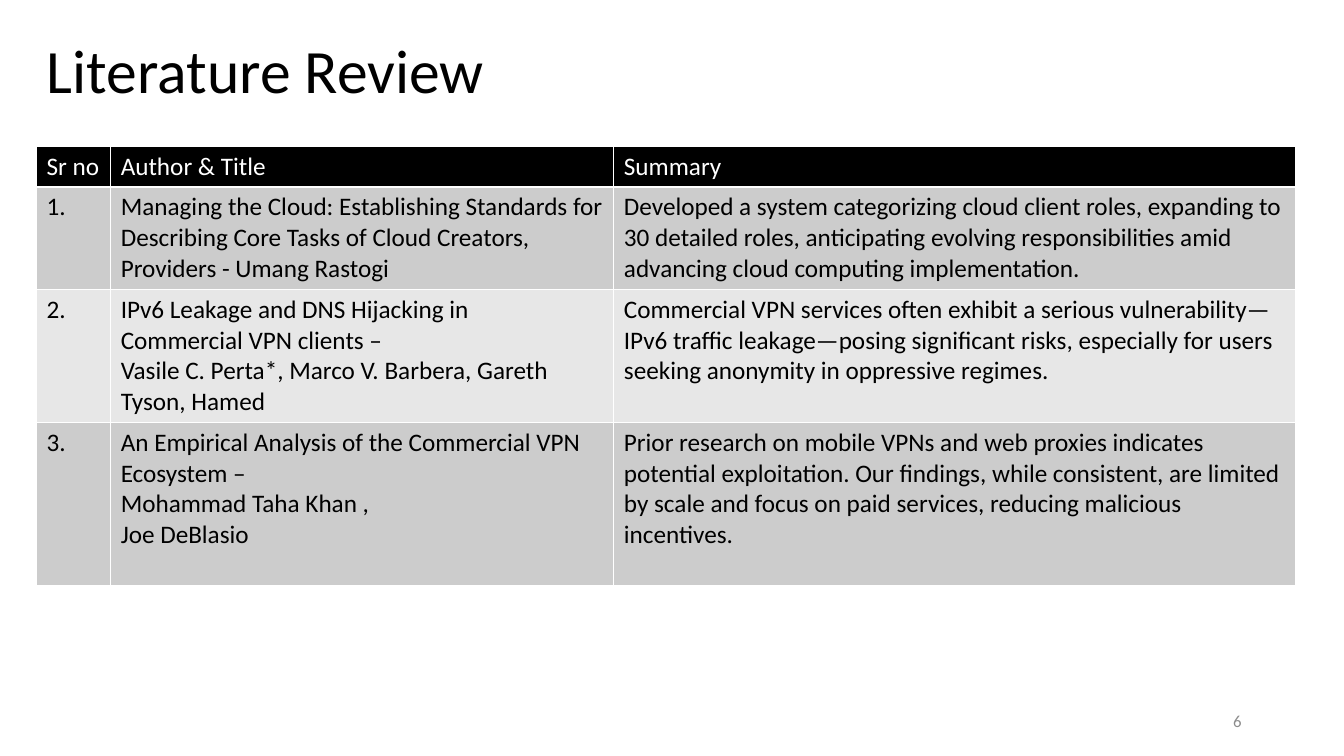
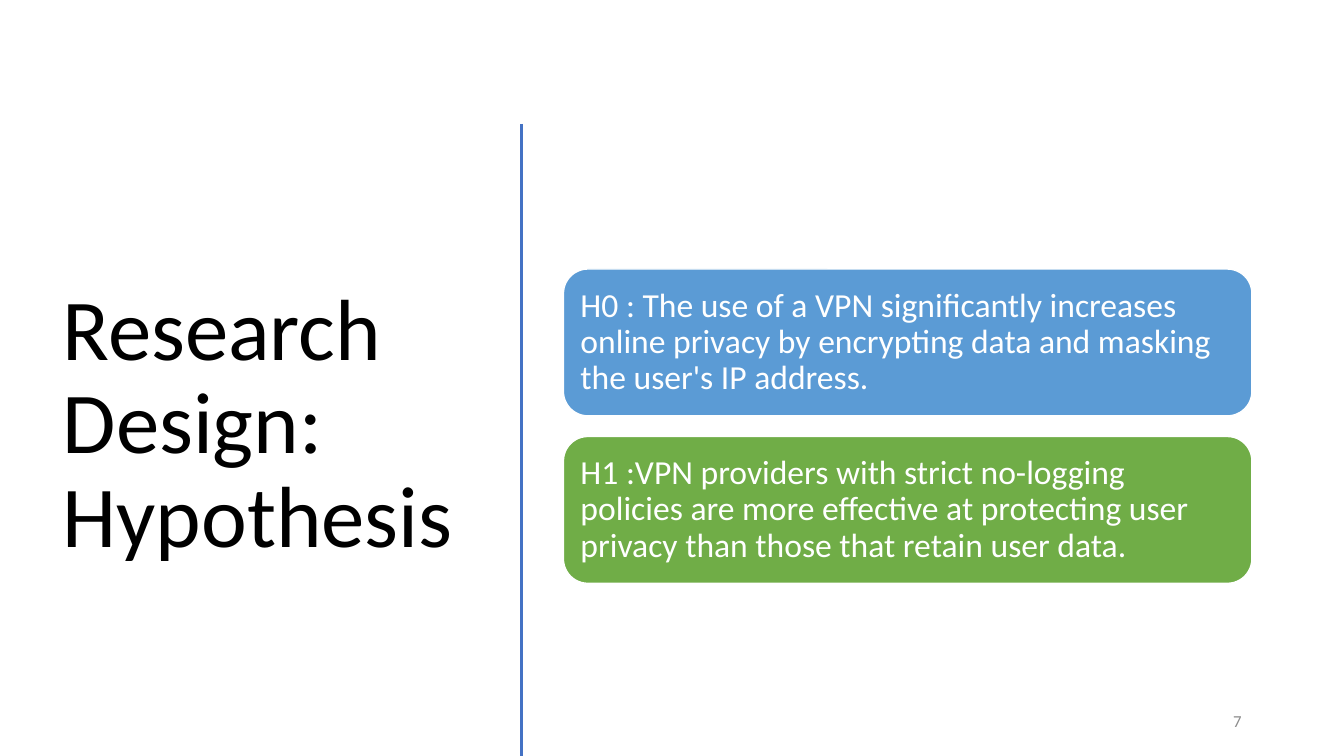
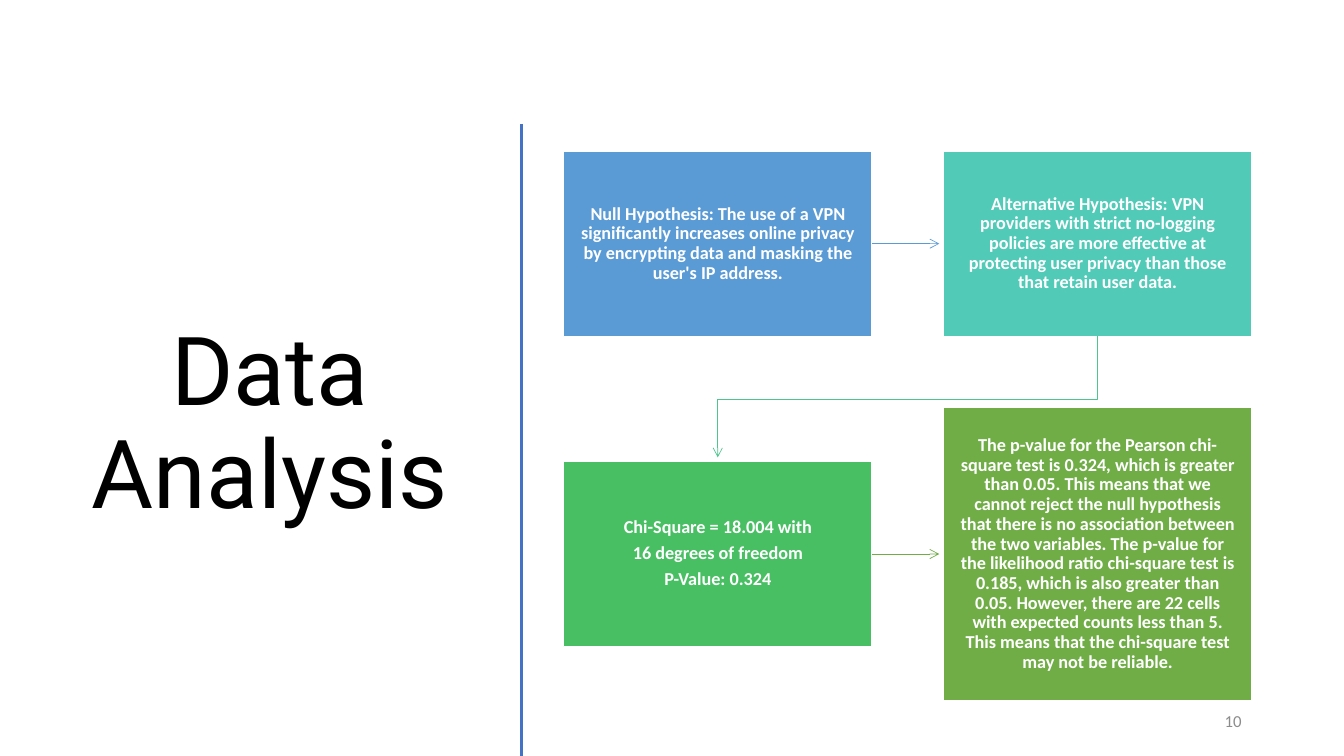
"""Build three slides on VPN research: literature, hypotheses and data analysis."""
from dataclasses import dataclass

from lxml.etree import SubElement
from pptx import Presentation
from pptx.dml.color import RGBColor
from pptx.enum.shapes import MSO_CONNECTOR, MSO_SHAPE
from pptx.enum.text import MSO_ANCHOR, PP_ALIGN
from pptx.oxml.ns import qn
from pptx.util import Cm, Pt

BLACK, WHITE, GREY = "000000", "FFFFFF", "8C8C8C"
BLUE, TEAL, MINT, EMERALD, GREEN = "5B9BD5", "52CAB8", "4DC58D", "49BF64", "70AD47"
DIVIDER = "4472C4"
BANDS = ("CCCCCC", "E7E7E7")
FONT = "Calibri"

LEFT = 14.2
BOX_W, BOX_H, TALL_H = 7.78, 4.67, 7.39
COL_PITCH = 9.57
ROW_MIDDLES = (6.14, 13.96)
CARD_W, CARD_H, CARD_TOP, CARD_PITCH = 17.35, 3.7, 6.78, 4.22


@dataclass(frozen=True)
class Style:
    """Look of a block of text."""

    size: float
    color: str = WHITE
    font: str = FONT
    bold: bool = False
    align: PP_ALIGN = PP_ALIGN.LEFT
    spacing: float = 0.9
    after: float = 0


@dataclass(frozen=True)
class Box:
    """A filled box with text; lengths in centimetres."""

    text: str
    fill: str
    left: float
    top: float
    width: float
    height: float
    shape: MSO_SHAPE
    inset: float
    style: Style


@dataclass(frozen=True)
class Arrow:
    """An arrow along points given in centimetres."""

    points: tuple[tuple[float, float], ...]
    color: str


CELL = Style(18, BLACK, spacing=1)
HEADER = Style(18, spacing=1)
NUMBER = Style(12, GREY, align=PP_ALIGN.RIGHT, spacing=1)
CARD = Style(24)
STEP = Style(13, bold=True, align=PP_ALIGN.CENTER, after=4.5)

REVIEW = (
    ("Sr no", "Author & Title", "Summary"),
    ("1.",
     "Managing the Cloud: Establishing Standards for Describing Core Tasks of "
     "Cloud Creators, Providers - Umang Rastogi",
     "Developed a system categorizing cloud client roles, expanding to 30 detailed "
     "roles, anticipating evolving responsibilities amid advancing cloud computing "
     "implementation."),
    ("2.",
     "IPv6 Leakage and DNS Hijacking in\nCommercial VPN clients –\n"
     "Vasile C. Perta*, Marco V. Barbera, Gareth Tyson, Hamed",
     "Commercial VPN services often exhibit a serious vulnerability—IPv6 traffic "
     "leakage—posing significant risks, especially for users seeking anonymity in "
     "oppressive regimes."),
    ("3.",
     "An Empirical Analysis of the Commercial VPN Ecosystem –\n"
     "Mohammad Taha Khan ,\nJoe DeBlasio",
     "Prior research on mobile VPNs and web proxies indicates potential "
     "exploitation. Our findings, while consistent, are limited by scale and focus "
     "on paid services, reducing malicious incentives."),
)
COL_WIDTHS = (1.87, 12.68, 17.18)
ROW_HEIGHTS = (1.02, 2.58, 3.35, 4.12)

HYPOTHESES = (
    ("H0 : The use of a VPN significantly increases online privacy by encrypting "
     "data and masking the user's IP address.", BLUE),
    ("H1 :VPN providers with strict no-logging policies are more effective at "
     "protecting user privacy than those that retain user data.", GREEN),
)
STEPS = (
    ("Null Hypothesis: The use of a VPN significantly increases online privacy by "
     "encrypting data and masking the user's IP address.", BLUE, BOX_H),
    ("Alternative Hypothesis: VPN providers with strict no-logging policies are more "
     "effective at protecting user privacy than those that retain user data.",
     TEAL, BOX_H),
    ("Chi-Square = 18.004 with\n16 degrees of freedom\nP-Value: 0.324",
     EMERALD, BOX_H),
    ("The p-value for the Pearson chi-square test is 0.324, which is greater than "
     "0.05. This means that we cannot reject the null hypothesis that there is no "
     "association between the two variables. The p-value for the likelihood ratio "
     "chi-square test is 0.185, which is also greater than 0.05. However, there are "
     "22 cells with expected counts less than 5. This means that the chi-square test "
     "may not be reliable.", GREEN, TALL_H),
)


def rgb(value: str) -> RGBColor:
    """Return the colour for a hex string."""
    return RGBColor.from_string(value)


def write(tf, text: str, style: Style) -> None:
    """Fill a text frame and format its runs."""
    tf.text = text
    tf.word_wrap = True
    for p in tf.paragraphs:
        p.alignment = style.align
        p.line_spacing = style.spacing
        p.space_after = Pt(style.after)
        for r in p.runs:
            r.font.name = style.font
            r.font.size = Pt(style.size)
            r.font.bold = style.bold
            r.font.color.rgb = rgb(style.color)


def add_text(s, text: str, style: Style, left: float, top: float,
             width: float, height: float) -> None:
    """Add a vertically centred text box."""
    sp = s.shapes.add_textbox(Cm(left), Cm(top), Cm(width), Cm(height))
    write(sp.text_frame, text, style)
    sp.text_frame.vertical_anchor = MSO_ANCHOR.MIDDLE


def add_box(s, box: Box) -> None:
    """Add a filled box with a thin white outline."""
    sp = s.shapes.add_shape(box.shape, Cm(box.left), Cm(box.top),
                            Cm(box.width), Cm(box.height))
    sp.shadow.inherit = False
    sp.fill.solid()
    sp.fill.fore_color.rgb = rgb(box.fill)
    sp.line.color.rgb = rgb(WHITE)
    sp.line.width = Pt(1)
    tf = sp.text_frame
    write(tf, box.text, box.style)
    tf.vertical_anchor = MSO_ANCHOR.MIDDLE
    tf.margin_left = tf.margin_right = tf.margin_top = tf.margin_bottom = Cm(box.inset)


def add_line(s, start: tuple[float, float], end: tuple[float, float],
             color: str, width: float):
    """Add a straight line without a shadow."""
    sp = s.shapes.add_connector(MSO_CONNECTOR.STRAIGHT,
                                *(Cm(v) for v in (*start, *end)))
    sp.line.color.rgb = rgb(color)
    sp.line.width = Pt(width)
    SubElement(sp._element.spPr, qn("a:effectLst"))
    return sp


def add_bent_line(s, points: tuple[tuple[float, float], ...],
                  color: str, width: float):
    """Add an open line with corners."""
    start, *rest = [(Cm(x), Cm(y)) for x, y in points]
    builder = s.shapes.build_freeform(*start)
    builder.add_line_segments(rest, close=False)
    sp = builder.convert_to_shape()
    sp.shadow.inherit = False
    sp.fill.background()
    sp.line.color.rgb = rgb(color)
    sp.line.width = Pt(width)
    return sp


def add_arrow(s, arrow: Arrow) -> None:
    """Add a thin arrow, straight or bent."""
    if len(arrow.points) == 2:
        sp = add_line(s, *arrow.points, arrow.color, 0.5)
    else:
        sp = add_bent_line(s, arrow.points, arrow.color, 0.5)
    SubElement(sp.line._get_or_add_ln(), qn("a:tailEnd"), type="arrow")


def add_slide(prs, number: int):
    """Add a blank slide with its number."""
    s = prs.slides.add_slide(prs.slide_layouts[6])
    add_text(s, str(number), NUMBER, 23.92, 17.65, 7.62, 1.02)
    return s


def add_split_slide(prs, number: int, title: str, style: Style):
    """Add a slide with a title panel left of a divider."""
    s = add_slide(prs, number)
    add_text(s, title, style, 1.33, 2.97, 10.95, 15.52)
    add_line(s, (13.14, 3.12), (13.14, 19.05), DIVIDER, 2.25)
    return s


def literature_slide(prs) -> None:
    """Build the literature table."""
    s = add_slide(prs, 6)
    add_text(s, "Literature Review", Style(44, BLACK), 0.93, 0, 29.21, 3.7)
    table = s.shapes.add_table(len(REVIEW), len(COL_WIDTHS), Cm(0.92), Cm(3.69),
                               Cm(sum(COL_WIDTHS)), Cm(sum(ROW_HEIGHTS))).table
    for column, width in zip(table.columns, COL_WIDTHS):
        column.width = Cm(width)
    for i, (row, height, texts) in enumerate(zip(table.rows, ROW_HEIGHTS, REVIEW)):
        row.height = Cm(height)
        for cell, text in zip(row.cells, texts):
            write(cell.text_frame, text, CELL if i else HEADER)
            cell.fill.solid()
            cell.fill.fore_color.rgb = rgb(BANDS[(i - 1) % 2] if i else BLACK)


def hypothesis_slide(prs) -> None:
    """Build the two hypothesis cards."""
    s = add_split_slide(prs, 7, "Research Design: Hypothesis", Style(62, BLACK))
    for i, (text, fill) in enumerate(HYPOTHESES):
        add_box(s, Box(text, fill, LEFT, CARD_TOP + i * CARD_PITCH, CARD_W, CARD_H,
                       MSO_SHAPE.ROUNDED_RECTANGLE, 0.25, CARD))


def analysis_slide(prs) -> None:
    """Build the flow from hypotheses to test results."""
    s = add_split_slide(prs, 10, "Data Analysis",
                        Style(68, BLACK, "Roboto", align=PP_ALIGN.CENTER))
    for i, (text, fill, height) in enumerate(STEPS):
        row, col = divmod(i, 2)
        add_box(s, Box(text, fill, LEFT + col * COL_PITCH,
                       ROW_MIDDLES[row] - height / 2, BOX_W, height,
                       MSO_SHAPE.RECTANGLE, 0.4, STEP))
    right, gap = LEFT + BOX_W, COL_PITCH - BOX_W
    center = LEFT + BOX_W / 2
    upper, lower = ROW_MIDDLES
    for middle, color in zip(ROW_MIDDLES, (BLUE, GREEN)):
        add_arrow(s, Arrow(((right, middle), (right + gap - 0.1, middle)), color))
    bend = 10.06
    add_arrow(s, Arrow(((center + COL_PITCH, upper + BOX_H / 2),
                        (center + COL_PITCH, bend), (center, bend),
                        (center, lower - BOX_H / 2 - 0.1)), MINT))


def main() -> None:
    """Build and save the presentation."""
    prs = Presentation()
    prs.slide_width, prs.slide_height = Cm(33.87), Cm(19.05)
    literature_slide(prs)
    hypothesis_slide(prs)
    analysis_slide(prs)
    prs.save("out.pptx")


if __name__ == "__main__":
    main()
